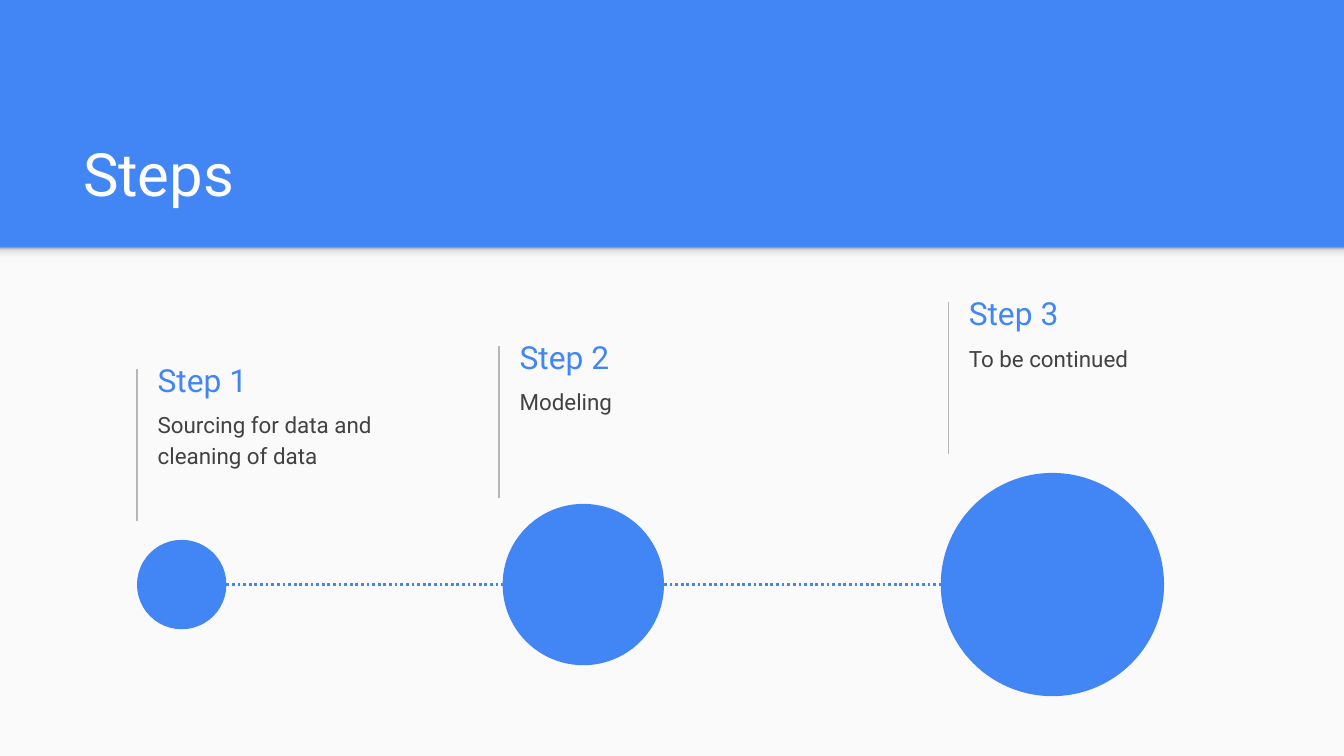
from copy import deepcopy
from dataclasses import dataclass

from lxml import etree
from pptx import Presentation
from pptx.dml.color import RGBColor as RGB
from pptx.enum.dml import MSO_LINE
from pptx.enum.shapes import MSO_CONNECTOR, MSO_SHAPE
from pptx.enum.text import MSO_ANCHOR
from pptx.oxml.ns import qn
from pptx.util import Cm, Pt


@dataclass(frozen=True)
class Theme:
    font: str = "Roboto"
    blue: str = "4285F4"
    white: str = "FFFFFF"
    panel: str = "FAFAFA"
    rule: str = "B7B7B7"
    body: str = "424242"
    shade: tuple = ((0, "F9F9F9"), (0.36, "F9F9F9"), (0.8, "DEDEDE"), (1, "999999"))
    title_size: int = 32
    step_size: int = 17
    body_size: int = 12


THEME = Theme()
WIDTH, HEIGHT, HEADER = 25.4, 14.29, 4.67
STEPS = [
    ("Step 1", "Sourcing for data and cleaning of data", 2.59, 6.97),
    ("Step 2", "Modeling", 9.43, 6.54),
    ("Step 3", "To be continued", 17.92, 5.71),
]
CIRCLES = [(2.59, 1.69), (9.5, 3.05), (17.78, 4.22)]


def add_shape(slide, kind, x, y, w, h, color=None):
    sp = slide.shapes.add_shape(kind, Cm(x), Cm(y), Cm(w), Cm(h))
    sp.shadow.inherit = False
    sp.line.fill.background()
    if color:
        sp.fill.solid()
        sp.fill.fore_color.rgb = RGB.from_string(color)
    return sp


def add_line(slide, x1, y1, x2, y2, color, width, dash=None):
    line = slide.shapes.add_connector(
        MSO_CONNECTOR.STRAIGHT, Cm(x1), Cm(y1), Cm(x2), Cm(y2))
    line.line.color.rgb = RGB.from_string(color)
    line.line.width = Pt(width)
    if dash:
        line.line.dash_style = dash
    etree.SubElement(line._element.spPr, qn("a:effectLst"))


def add_text(slide, text, x, y, w, h, size, color, anchor, spacing=1.0):
    tf = slide.shapes.add_textbox(Cm(x), Cm(y), Cm(w), Cm(h)).text_frame
    tf.word_wrap = True
    tf.vertical_anchor = anchor
    tf.margin_left = tf.margin_right = tf.margin_top = tf.margin_bottom = Cm(0.25)
    p = tf.paragraphs[0]
    p.line_spacing = spacing
    r = p.add_run()
    r.text = text
    r.font.name = THEME.font
    r.font.size = Pt(size)
    r.font.color.rgb = RGB.from_string(color)


def add_shade(slide, x, y, w, h):
    fill = add_shape(slide, MSO_SHAPE.RECTANGLE, x, y, w, h).fill
    fill.gradient()
    fill.gradient_angle = 90
    stops = fill._fill._gradFill.find(qn("a:gsLst"))
    for _ in range(len(THEME.shade) - len(stops)):
        stops.append(deepcopy(stops[0]))
    for stop, (position, color) in zip(fill.gradient_stops, THEME.shade):
        stop.position = position
        stop.color.rgb = RGB.from_string(color)


def add_header(slide, x, y, w, h):
    add_text(slide, "Steps", x + 1.32, y + h - 2.61, w - 2.57, 2.13,
             THEME.title_size, THEME.white, MSO_ANCHOR.BOTTOM)


def add_panel(slide, x, y, w, h):
    add_shape(slide, MSO_SHAPE.RECTANGLE, x, y, w, h, THEME.panel)
    add_shade(slide, x, y, w, 0.3)


def add_step(slide, name, detail, x, y, w=5.03, h=2.88):
    add_line(slide, x, y, x, y + h, THEME.rule, 0.75)
    add_text(slide, name, x + 0.14, y - 0.34, w, 1.09,
             THEME.step_size, THEME.blue, MSO_ANCHOR.MIDDLE)
    add_text(slide, detail, x + 0.14, y + 0.48, w, 1.6,
             THEME.body_size, THEME.body, MSO_ANCHOR.TOP, 1.15)


def add_timeline(slide, circles, axis):
    first_x, first_size = circles[0]
    add_line(slide, first_x + first_size, axis, circles[-1][0], axis,
             THEME.blue, 1.5, MSO_LINE.ROUND_DOT)
    for x, size in circles:
        add_shape(slide, MSO_SHAPE.OVAL, x, axis - size / 2, size, size, THEME.blue)


def main():
    prs = Presentation()
    prs.slide_width, prs.slide_height = Cm(WIDTH), Cm(HEIGHT)
    s = prs.slides.add_slide(prs.slide_layouts[6])
    s.background.fill.solid()
    s.background.fill.fore_color.rgb = RGB.from_string(THEME.blue)
    add_panel(s, 0, HEADER, WIDTH, HEIGHT - HEADER)
    add_header(s, 0, 0, WIDTH, HEADER)
    for step in STEPS:
        add_step(s, *step)
    add_timeline(s, CIRCLES, 11.05)
    prs.save("out.pptx")


if __name__ == "__main__":
    main()
